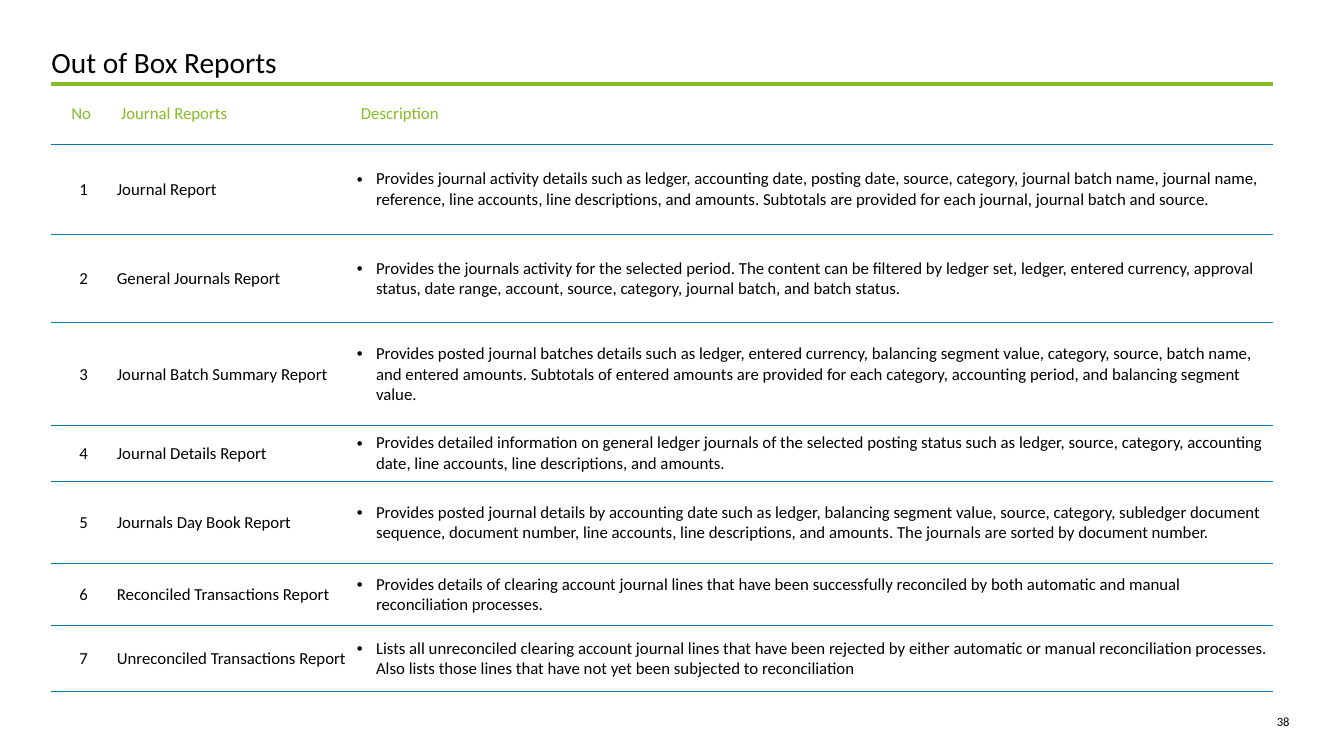
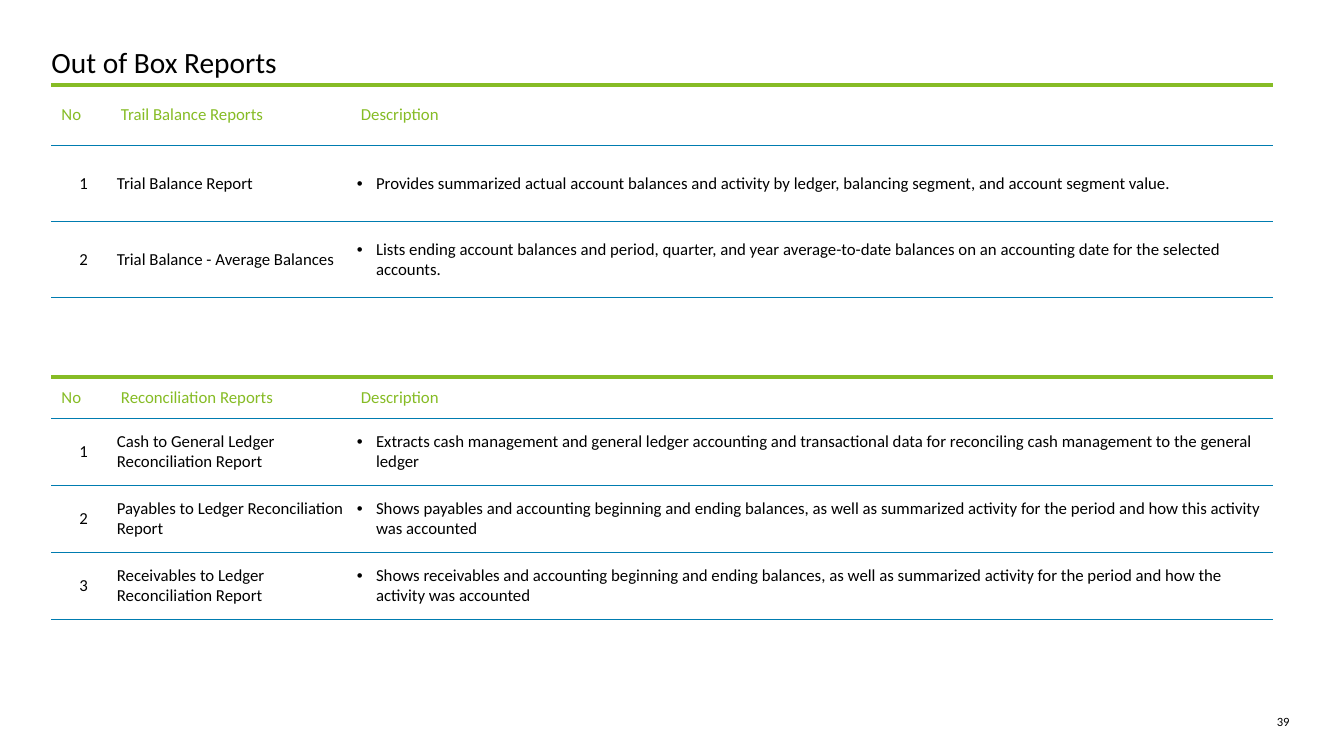
from typing import NamedTuple

from lxml import etree
from pptx import Presentation
from pptx import util as u
from pptx.dml.color import RGBColor
from pptx.enum import text
from pptx.oxml import ns

GREEN = RGBColor(0x86, 0xBC, 0x25)
BLUE = RGBColor(0x00, 0x7C, 0xB0)
BLACK = RGBColor(0x00, 0x00, 0x00)
WHITE = RGBColor(0xFF, 0xFF, 0xFF)
FONT = "Calibri"
LEFT, CENTER, RIGHT = text.PP_ALIGN.LEFT, text.PP_ALIGN.CENTER, text.PP_ALIGN.RIGHT

PLAIN_TABLE_STYLE = "{2D5ABB26-0587-4C30-8999-92F81FD0307C}"
COLUMN_WEIGHTS = (59, 238, 915)
HEADER_INSETS = (0.1, 0.1, 0.1, 0.1)
BODY_INSETS = (0.01, 0.01, 0.01, 0)
FIRST_PAGE = 38


class Box(NamedTuple):
    """A region of the slide, in inches."""
    left: float
    top: float
    width: float
    height: float

    def emu(self):
        return [u.Inches(length) for length in self]


class Report(NamedTuple):
    name: str
    description: str
    row_weight: int


class ReportTable(NamedTuple):
    box: Box
    heading: str
    header_weight: int
    number_align: text.PP_ALIGN
    reports: tuple


TITLE_BOX = Box(0.51, 0.44, 12.31, 0.37)
PAGE_BOX = Box(12.45, 7.08, 0.34, 0.15)

JOURNALS = ReportTable(Box(0.51, 0.83, 12.12, 6.03), "Journal Reports", 60, CENTER, (
    Report("Journal Report",
           "Provides journal activity details such as ledger, accounting date, posting date, "
           "source, category, journal batch name, journal name, reference, line accounts, line "
           "descriptions, and amounts. Subtotals are provided for each journal, journal batch "
           "and source.", 89),
    Report("General Journals Report",
           "Provides the journals activity for the selected period. The content can be filtered "
           "by ledger set, ledger, entered currency, approval status, date range, account, "
           "source, category, journal batch, and batch status.", 88),
    Report("Journal Batch Summary Report",
           "Provides posted journal batches details such as ledger, entered currency, balancing "
           "segment value, category, source, batch name, and entered amounts. Subtotals of "
           "entered amounts are provided for each category, accounting period, and balancing "
           "segment value.", 102),
    Report("Journal Details Report",
           "Provides detailed information on general ledger journals of the selected posting "
           "status such as ledger, source, category, accounting date, line accounts, line "
           "descriptions, and amounts.", 55),
    Report("Journals Day Book Report",
           "Provides posted journal details by accounting date such as ledger, balancing segment "
           "value, source, category, subledger document sequence, document number, line "
           "accounts, line descriptions, and amounts. The journals are sorted by document "
           "number.", 82),
    Report("Reconciled Transactions Report",
           "Provides details of clearing account journal lines that have been successfully "
           "reconciled by both automatic and manual reconciliation processes.", 61),
    Report("Unreconciled Transactions Report",
           "Lists all unreconciled clearing account journal lines that have been rejected by "
           "either automatic or manual reconciliation processes. Also lists those lines that "
           "have not yet been subjected to reconciliation", 66),
))

BALANCES = ReportTable(Box(0.51, 0.84, 12.12, 2.11), "Trail Balance Reports", 60, LEFT, (
    Report("Trial Balance Report",
           "Provides summarized actual account balances and activity by ledger, balancing "
           "segment, and account segment value.", 75),
    Report("Trial Balance - Average Balances",
           "Lists ending account balances and period, quarter, and year average-to-date balances "
           "on an accounting date for the selected accounts.", 75),
))

RECONCILIATIONS = ReportTable(Box(0.51, 3.74, 12.12, 2.4), "Reconciliation Reports", 40, LEFT, (
    Report("Cash to General Ledger Reconciliation Report",
           "Extracts cash management and general ledger accounting and transactional data for "
           "reconciling cash management to the general ledger", 66),
    Report("Payables to Ledger Reconciliation Report",
           "Shows payables and accounting beginning and ending balances, as well as summarized "
           "activity for the period and how this activity was accounted", 66),
    Report("Receivables to Ledger Reconciliation Report",
           "Shows receivables and accounting beginning and ending balances, as well as summarized "
           "activity for the period and how the activity was accounted", 66),
))

SLIDES = (
    ("Out of Box Reports", (JOURNALS,)),
    ("Out of Box Reports", (BALANCES, RECONCILIATIONS)),
)


def add_element(parent, tag, **attributes):
    return etree.SubElement(parent, ns.qn(tag), attributes)


def write(paragraph, content, size, color=BLACK, align=LEFT):
    paragraph.text = content
    paragraph.alignment = align
    font = paragraph.runs[0].font
    font.name, font.size, font.color.rgb = FONT, u.Pt(size), color


def set_insets(target, insets):
    (target.margin_left, target.margin_top,
     target.margin_right, target.margin_bottom) = [u.Inches(inset) for inset in insets]


def add_text(slide, box, content, size, align=LEFT):
    frame = slide.shapes.add_textbox(*box.emu()).text_frame
    frame.word_wrap = True
    set_insets(frame, (0, 0, 0, 0))
    write(frame.paragraphs[0], content, size, align=align)


def add_border(cell, side, color, points):
    properties = cell._tc.get_or_add_tcPr()
    line = add_element(properties, side, w=str(u.Pt(points)))
    add_element(add_element(line, "a:solidFill"), "a:srgbClr", val=str(color))


def indent(paragraph, left, first=0, bullet=None):
    properties = paragraph._p.get_or_add_pPr()
    properties.set("marL", str(u.Inches(left)))
    properties.set("indent", str(u.Inches(first)))
    if bullet:
        add_element(properties, "a:buFont", typeface="Arial")
        add_element(properties, "a:buChar", char=bullet)


def fill_cell(cell, content, insets, color, align):
    cell.vertical_anchor = text.MSO_ANCHOR.MIDDLE
    set_insets(cell, insets)
    header = insets is HEADER_INSETS
    add_border(cell, "a:lnT", GREEN if header else BLUE, 3 if header else 0.25)
    add_border(cell, "a:lnB", BLUE, 0.25)
    cell.fill.solid()
    cell.fill.fore_color.rgb = WHITE
    write(cell.text_frame.paragraphs[0], content, 12, color, align)


def share_out(lines, weights, length):
    """Return the lengths of table rows or columns in proportion to their weights."""
    total = sum(weights)
    return [(line, u.Inches(length * weight / total)) for line, weight in zip(lines, weights)]


def add_report_table(slide, content):
    box, reports = content.box, content.reports
    frame = slide.shapes.add_table(len(reports) + 1, len(COLUMN_WEIGHTS), *box.emu())
    table = frame.table
    table.horz_banding = table.first_row = False
    next(frame.element.iter(ns.qn("a:tableStyleId"))).text = PLAIN_TABLE_STYLE
    for column, width in share_out(table.columns, COLUMN_WEIGHTS, box.width):
        column.width = width
    row_weights = [content.header_weight] + [report.row_weight for report in reports]
    for row, height in share_out(table.rows, row_weights, box.height):
        row.height = height

    headings = ("No", content.heading, "Description")
    for index, (heading, align) in enumerate(zip(headings, (content.number_align, LEFT, LEFT))):
        fill_cell(table.cell(0, index), heading, HEADER_INSETS, GREEN, align)
    for number, report in enumerate(reports, 1):
        values = (str(number), report.name, report.description)
        indents = ((0.05,), (0.05,), (0.24, -0.19, "•"))
        for index, (value, spacing) in enumerate(zip(values, indents)):
            cell = table.cell(number, index)
            indent(cell.text_frame.paragraphs[0], *spacing)
            fill_cell(cell, value, BODY_INSETS, BLACK, LEFT if index else CENTER)


def add_report_slide(presentation, title, tables, page):
    slide = presentation.slides.add_slide(presentation.slide_layouts[6])
    add_text(slide, PAGE_BOX, str(page), 9, RIGHT)
    add_text(slide, TITLE_BOX, title, 21)
    for content in tables:
        add_report_table(slide, content)


def main():
    presentation = Presentation()
    presentation.slide_width, presentation.slide_height = u.Inches(13.33), u.Inches(7.5)
    for page, (title, tables) in enumerate(SLIDES, FIRST_PAGE):
        add_report_slide(presentation, title, tables, page)
    presentation.save("out.pptx")


if __name__ == "__main__":
    main()
